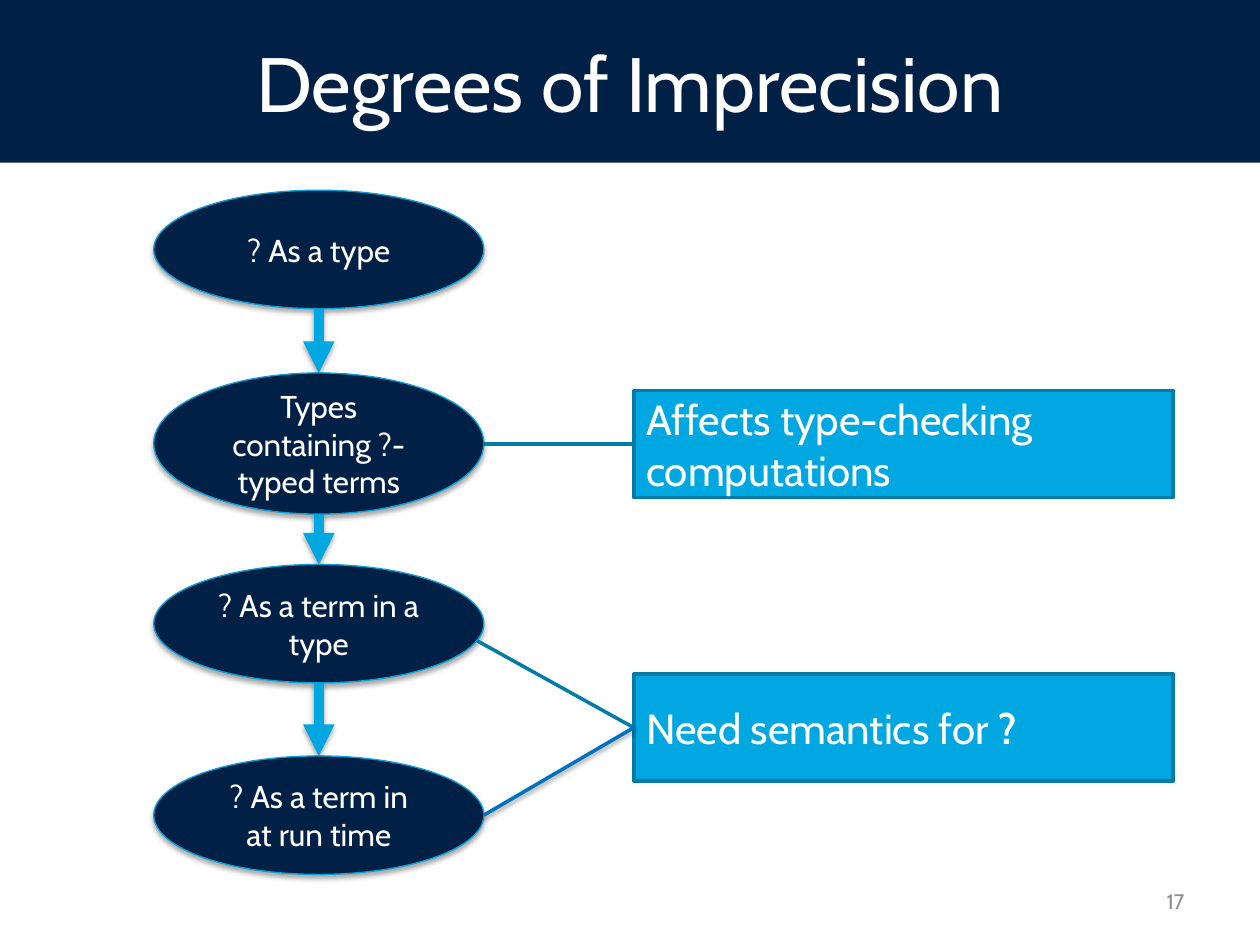
from dataclasses import dataclass

from lxml import etree
from pptx import Presentation
from pptx.dml.color import RGBColor
from pptx.enum.shapes import MSO_CONNECTOR, MSO_SHAPE
from pptx.enum.text import MSO_ANCHOR, MSO_AUTO_SIZE, PP_ALIGN
from pptx.oxml.ns import qn
from pptx.util import Inches, Pt

STRAIGHT = MSO_CONNECTOR.STRAIGHT
ELLIPSE, CALLOUT = MSO_SHAPE.OVAL, MSO_SHAPE.LINE_CALLOUT_1
MIDDLE, NO_AUTOFIT = MSO_ANCHOR.MIDDLE, MSO_AUTO_SIZE.NONE
LEFT, CENTER, RIGHT = PP_ALIGN.LEFT, PP_ALIGN.CENTER, PP_ALIGN.RIGHT
TITLE_ONLY_LAYOUT = 5
TOP_SITE = 0


@dataclass(frozen=True)
class Theme:
    font: str = "Cabin"
    navy: str = "002145"
    sky: str = "00A7E1"
    stage_outline: str = "00A3DC"
    callout_outline: str = "007CA6"
    link: str = "0070C0"
    white: str = "FFFFFF"
    gray: str = "8C8D94"
    title_size: int = 44
    callout_size: int = 24
    stage_size: int = 18
    number_size: int = 12


@dataclass(frozen=True)
class Stage:
    text: str
    top: float
    height: float = 0.94

    @property
    def bottom(self) -> float:
        return self.top + self.height


@dataclass(frozen=True)
class Callout:
    runs: tuple[tuple[str, bool], ...]
    top: float
    pointer: tuple[float, float, float, float]


THEME = Theme()
STAGE_LEFT, STAGE_WIDTH = 1.22, 2.62
STAGE_CENTER = STAGE_LEFT + STAGE_WIDTH / 2
STAGE_RIGHT = STAGE_LEFT + STAGE_WIDTH
CALLOUT_LEFT, CALLOUT_WIDTH, CALLOUT_HEIGHT = 5.03, 4.28, 0.85

STAGES = (
    Stage("? As a type", 1.51),
    Stage("Types containing ?-typed terms", 2.96, 1.12),
    Stage("? As a term in a type", 4.48),
    Stage("? As a term in at run time", 6),
)
TYPE_CHECKING = Callout(
    (("Affects type-checking computations", False),), 3.1, (0.5, -0.28, 0.5, 0)
)
SEMANTICS = Callout(
    (("Need semantics for ", False), ("?", True)), 5.35, (-0.31, -0.29, 0.5, 0)
)


def rgb(value: str) -> RGBColor:
    return RGBColor.from_string(value)


def set_fill(shape, color: str) -> None:
    shape.fill.solid()
    shape.fill.fore_color.rgb = rgb(color)


def set_line(shape, color: str, width: float) -> None:
    shape.line.color.rgb = rgb(color)
    shape.line.width = Pt(width)


def add_shadow(effects, opacity: int, distance: float) -> None:
    """Put a soft downward shadow into an effect list."""
    shadow = etree.SubElement(
        effects, qn("a:outerShdw"), blurRad=str(Pt(3.1)), dist=str(Pt(distance)),
        dir="5400000", rotWithShape="0",
    )
    color = etree.SubElement(shadow, qn("a:srgbClr"), val="000000")
    etree.SubElement(color, qn("a:alpha"), val=str(opacity * 1000))


def write(shape, runs, size: int, color: str, alignment) -> None:
    frame = shape.text_frame
    frame.word_wrap = True
    frame.auto_size = NO_AUTOFIT
    frame.vertical_anchor = MIDDLE
    paragraph = frame.paragraphs[0]
    paragraph.alignment = alignment
    for text, bold in runs:
        run = paragraph.add_run()
        run.text = text
        run.font.name = THEME.font
        run.font.size = Pt(size)
        run.font.bold = bold
        run.font.color.rgb = rgb(color)


def add_title(slide, text: str) -> None:
    title = slide.shapes.title
    title.left, title.top = Inches(0), Inches(0)
    title.width, title.height = Inches(10), Inches(1.29)
    set_fill(title, THEME.navy)
    write(title, [(text, False)], THEME.title_size, THEME.white, CENTER)


def add_slide_number(slide, number: str) -> None:
    box = slide.shapes.add_textbox(
        Inches(7.17), Inches(6.95), Inches(2.33), Inches(0.4)
    )
    write(box, [(number, False)], THEME.number_size, THEME.gray, RIGHT)


def add_stage(slide, stage: Stage):
    shape = slide.shapes.add_shape(
        ELLIPSE, Inches(STAGE_LEFT), Inches(stage.top),
        Inches(STAGE_WIDTH), Inches(stage.height),
    )
    set_fill(shape, THEME.navy)
    set_line(shape, THEME.stage_outline, 0.75)
    shape.shadow.inherit = False
    add_shadow(shape._element.spPr.find(qn("a:effectLst")), 35, 1.8)
    write(shape, [(stage.text, False)], THEME.stage_size, THEME.white, CENTER)
    return shape


def add_line(slide, start, end, color: str, width: float):
    connector = slide.shapes.add_connector(
        STRAIGHT, *(Inches(value) for value in (*start, *end))
    )
    set_line(connector, color, width)
    effects = etree.SubElement(connector._element.spPr, qn("a:effectLst"))
    add_shadow(effects, 38, 1.6)
    return connector


def add_arrow(slide, upper: Stage, lower: Stage, lower_shape) -> None:
    arrow = add_line(
        slide, (STAGE_CENTER, upper.bottom), (STAGE_CENTER, lower.top), THEME.sky, 6
    )
    arrow.end_connect(lower_shape, TOP_SITE)
    etree.SubElement(arrow.line._get_or_add_ln(), qn("a:tailEnd"), type="triangle")


def add_callout(slide, callout: Callout):
    shape = slide.shapes.add_shape(
        CALLOUT, Inches(CALLOUT_LEFT), Inches(callout.top),
        Inches(CALLOUT_WIDTH), Inches(CALLOUT_HEIGHT),
    )
    for index, value in enumerate(callout.pointer):
        shape.adjustments[index] = value
    set_fill(shape, THEME.sky)
    set_line(shape, THEME.callout_outline, 2)
    shape.shadow.inherit = False
    write(shape, callout.runs, THEME.callout_size, THEME.white, LEFT)
    return shape


def main() -> None:
    presentation = Presentation()
    presentation.slide_width, presentation.slide_height = Inches(10), Inches(7.5)
    slide = presentation.slides.add_slide(
        presentation.slide_layouts[TITLE_ONLY_LAYOUT]
    )
    add_title(slide, "Degrees of Imprecision")
    add_slide_number(slide, "17")

    stage_shapes = [add_stage(slide, stage) for stage in STAGES]
    for upper, lower, lower_shape in zip(STAGES, STAGES[1:], stage_shapes[1:]):
        add_arrow(slide, upper, lower, lower_shape)

    add_callout(slide, TYPE_CHECKING)
    semantics = add_callout(slide, SEMANTICS)
    run_time = STAGES[-1]
    run_time_link = add_line(
        slide,
        (CALLOUT_LEFT, SEMANTICS.top + CALLOUT_HEIGHT / 2),
        (STAGE_RIGHT, run_time.top + run_time.height / 2),
        THEME.link, 2,
    )
    slide.shapes.add_group_shape([semantics, run_time_link])
    presentation.save("out.pptx")


if __name__ == "__main__":
    main()
